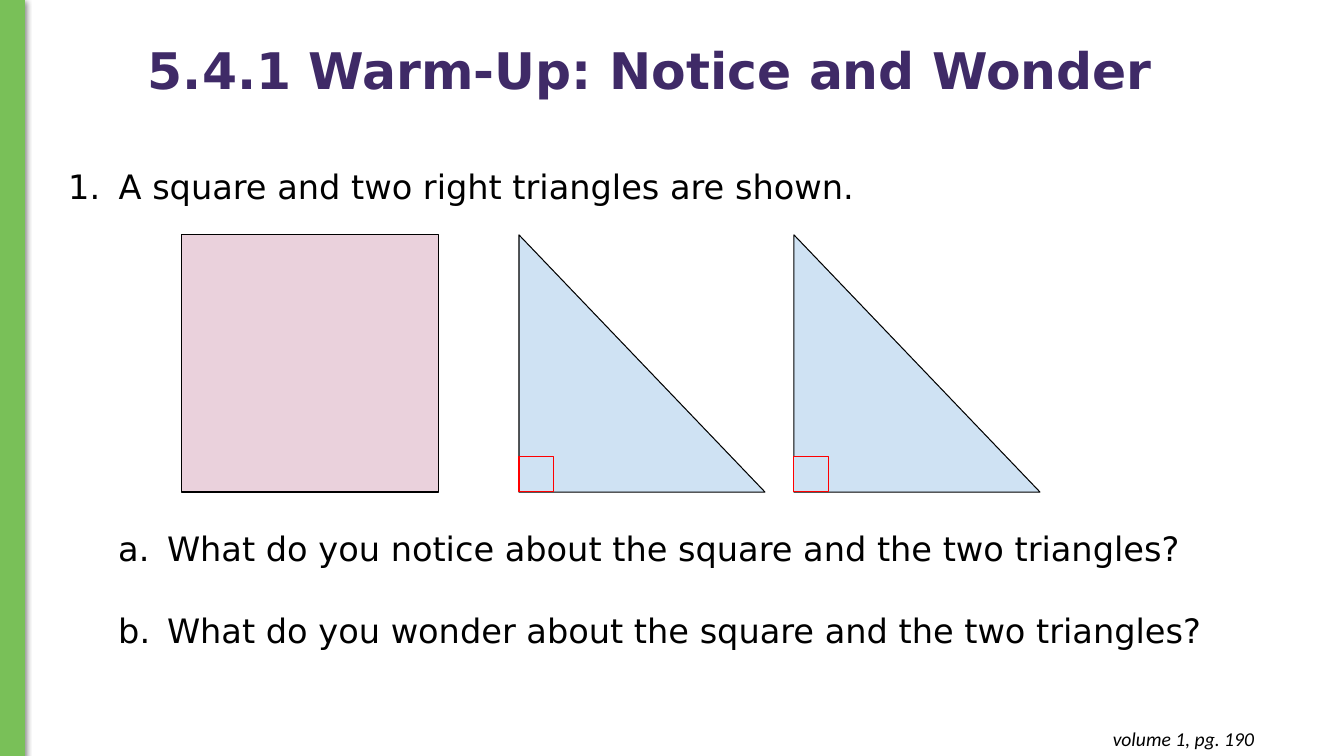
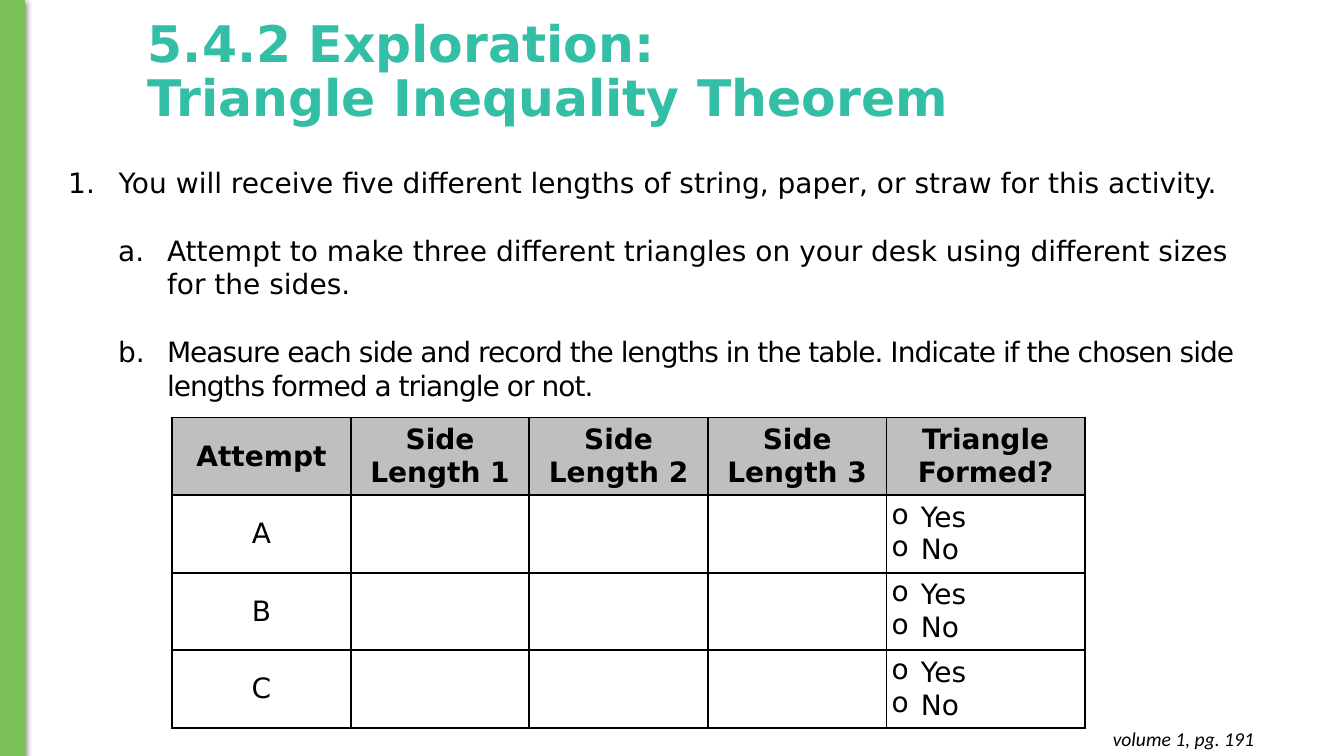
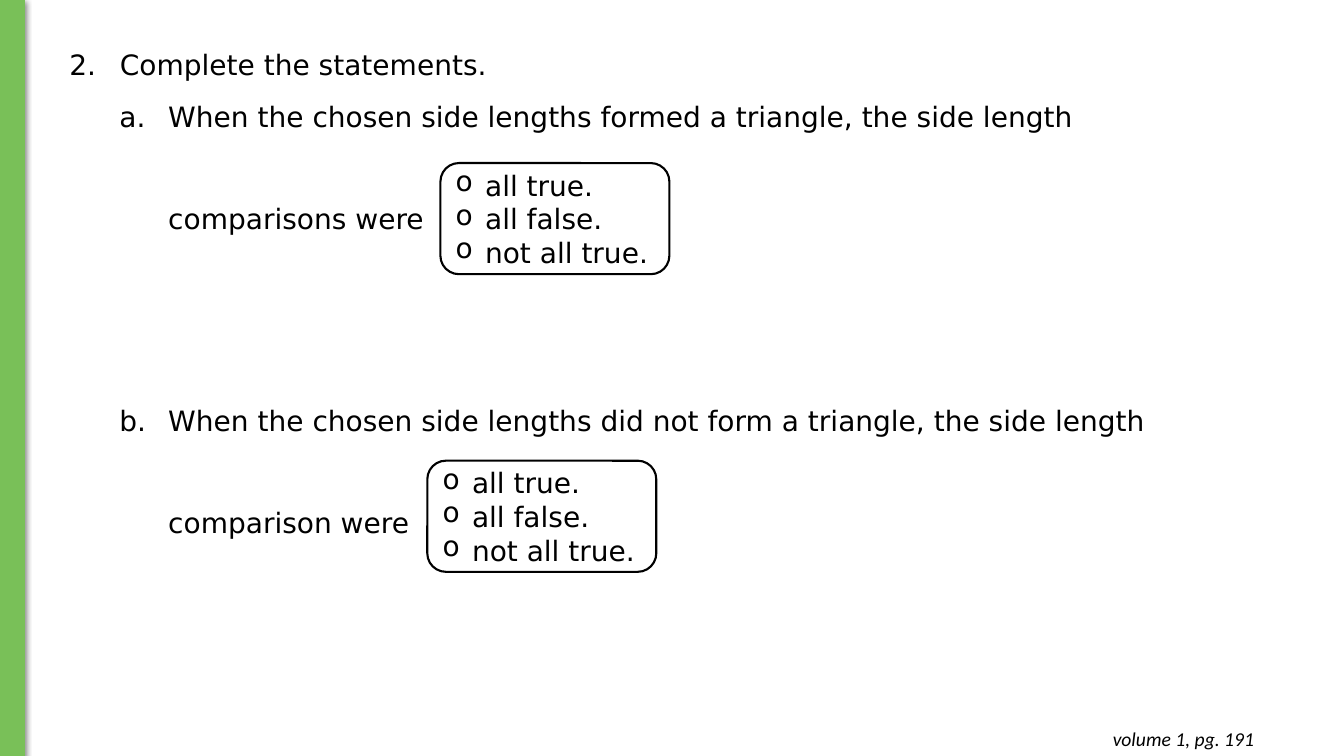
from dataclasses import dataclass

from lxml.etree import SubElement
from pptx import Presentation
from pptx.dml.color import RGBColor as RGB
from pptx.enum.shapes import MSO_SHAPE as SHAPE
from pptx.enum.text import MSO_ANCHOR as ANCHOR, PP_ALIGN as ALIGN
from pptx.oxml.ns import qn
from pptx.util import Cm, Pt


@dataclass(frozen=True)
class Theme:
    font: str = "DejaVu Sans"
    footer_font: str = "Calibri"
    black: RGB = RGB(0, 0, 0)
    white: RGB = RGB(255, 255, 255)
    green: RGB = RGB(0x79, 0xC0, 0x58)
    purple: RGB = RGB(0x3F, 0x2A, 0x67)
    teal: RGB = RGB(0x33, 0xBE, 0xA6)
    pink: RGB = RGB(0xEA, 0xD1, 0xDC)
    blue: RGB = RGB(0xCF, 0xE2, 0xF3)
    red: RGB = RGB(0xFF, 0, 0)
    gray: RGB = RGB(0xBF, 0xBF, 0xBF)
    title: int = 36
    large: int = 24
    body: int = 20
    footer: int = 14


theme = Theme()
NUMBER = dict(number="arabicPeriod", margin=1.27, hang=1.27)
LETTER = dict(number="alphaLcPeriod", level=1, margin=2.49, hang=1.23)
CHOICE = dict(bullet="o", margin=0.74, hang=0.74)


def write(frame, text, size=theme.body, font=theme.font, color=theme.black,
          bold=False, italic=False, align=ALIGN.LEFT, before=0, line=None,
          level=0, margin=0, hang=0, number=None, start=1, bullet=None,
          tracking=None):
    """Add one formatted paragraph; the first call fills the empty one."""
    para = frame.paragraphs[-1]
    if para.runs:
        para = frame.add_paragraph()
    para.text = text
    para.alignment = align
    para.level = level
    para.space_before = Pt(before)
    if line:
        para.line_spacing = line
    layout = para._p.get_or_add_pPr()
    layout.set("marL", str(Cm(margin)))
    layout.set("indent", str(-Cm(hang)))
    if number:
        mark = SubElement(layout, qn("a:buAutoNum"), type=number)
        if start > 1:
            mark.set("startAt", str(start))
    elif bullet:
        SubElement(layout, qn("a:buChar"), char=bullet)
    for span in para.runs:
        span.font.name, span.font.size = font, Pt(size)
        span.font.bold, span.font.italic = bold, italic
        span.font.color.rgb = color
        if tracking:
            span._r.get_or_add_rPr().set("spc", str(tracking))


def add_box(page, left, top, width, height, shape=None, fill=None,
            line=theme.black, weight=0.75, anchor=ANCHOR.TOP):
    """Add a text box, or a preset shape when one is named."""
    place = Cm(left), Cm(top), Cm(width), Cm(height)
    if shape is None:
        box = page.shapes.add_textbox(*place)
    else:
        box = page.shapes.add_shape(shape, *place)
        box.shadow.inherit = False
        box.line.color.rgb, box.line.width = line, Pt(weight)
        if fill is None:
            box.fill.background()
        else:
            box.fill.solid()
            box.fill.fore_color.rgb = fill
    box.text_frame.word_wrap = True
    box.text_frame.vertical_anchor = anchor
    return box


deck = Presentation()
deck.slide_width, deck.slide_height = Cm(33.87), Cm(19.05)

# Shared parts: side bar with shadow, title, footer
pages = []
for title, color, page_number in (
    ("5.4.1 Warm-Up: Notice and Wonder", theme.purple, 190),
    ("5.4.2 Exploration:\vTriangle Inequality Theorem", theme.teal, 191),
    (None, None, 191),
):
    page = deck.slides.add_slide(deck.slide_layouts[6])
    pages.append(page)
    bar = add_box(page, 0, 0, 0.62, 19.05, SHAPE.RECTANGLE, theme.green, theme.green)
    effects = bar._element.spPr.find(qn("a:effectLst"))
    shadow = SubElement(effects, qn("a:outerShdw"), blurRad=str(Pt(4.5)),
                        dist=str(Pt(1.5)), dir="5400000", rotWithShape="0")
    shade = SubElement(shadow, qn("a:srgbClr"), val=str(theme.black))
    SubElement(shade, qn("a:alpha"), val="50000")
    if title:
        heading = add_box(page, 3.48, 0, 29.5, 3.68, anchor=ANCHOR.MIDDLE)
        write(heading.text_frame, title, size=theme.title, color=color, bold=True, line=0.9)
    footer = add_box(page, 24.54, 18.06, 7.32, 1.12).text_frame
    footer.margin_top = footer.margin_bottom = Cm(0.25)
    write(footer, f"volume 1, pg. {page_number}", size=theme.footer,
          font=theme.footer_font, italic=True, align=ALIGN.RIGHT)

warm_up, exploration, statements = pages

# Warm-up: statement, figures, questions
statement = add_box(warm_up, 1.47, 4.06, 29.64, 1.3).text_frame
write(statement, "A square and two right triangles are shown.", size=theme.large, **NUMBER)
add_box(warm_up, 4.57, 5.92, 6.48, 6.48, SHAPE.RECTANGLE, theme.pink)
for left in (13.08, 20.01):
    add_box(warm_up, left, 5.92, 6.2, 6.48, SHAPE.RIGHT_TRIANGLE, theme.blue)
    add_box(warm_up, left, 11.51, 0.87, 0.87, SHAPE.RECTANGLE, theme.blue, theme.red)
questions = add_box(warm_up, 1.47, 13.18, 29.64, 3.5).text_frame
for verb, gap in (("notice", 0), ("wonder", 30)):
    write(questions, f"What do you {verb} about the square and the two triangles?",
          size=theme.large, before=gap, **LETTER)

# Exploration: instructions
steps = add_box(exploration, 1.47, 4.04, 30.18, 6.25).text_frame
write(steps, "You will receive five different lengths of string, paper, or straw "
      "for this activity.", **NUMBER)
write(steps, "Attempt to make three different triangles on your desk using "
      "different sizes for the sides.", before=24.4, **LETTER)
write(steps, "Measure each side and record the lengths in the table. Indicate if the "
      "chosen side lengths formed a triangle or not.", before=24.4, tracking=-70, **LETTER)

# Exploration: table of attempts
headings = ["Attempt", *(f"Side\vLength {n}" for n in (1, 2, 3)), "Triangle Formed?"]
widths = [4.5] * 4 + [5]
rows = [headings] + [[letter, "", "", "", "Yes No"] for letter in "ABC"]
table = exploration.shapes.add_table(len(rows), len(widths), Cm(4.34), Cm(10.52),
                                     Cm(sum(widths)), Cm(1.95 * len(rows))).table
table.horz_banding = False
for column, width in zip(table.columns, widths):
    column.width = Cm(width)
for r, row in enumerate(rows):
    table.rows[r].height = Cm(1.95)
    for c, text in enumerate(row):
        cell = table.cell(r, c)
        cell.vertical_anchor = ANCHOR.MIDDLE
        cell.margin_left = cell.margin_right = Cm(0.13)
        cell.margin_top = cell.margin_bottom = Cm(0.13)
        for side in ("lnL", "lnR", "lnT", "lnB"):
            edge = SubElement(cell._tc.get_or_add_tcPr(), qn(f"a:{side}"), w=str(Pt(1.5)))
            ink = SubElement(edge, qn("a:solidFill"))
            SubElement(ink, qn("a:srgbClr"), val=str(theme.black))
        cell.fill.solid()
        cell.fill.fore_color.rgb = theme.white if r else theme.gray
        if r and c == len(widths) - 1:
            for answer in text.split():
                write(cell.text_frame, answer, **CHOICE)
        elif text:
            write(cell.text_frame, text, bold=r == 0, align=ALIGN.CENTER)

# Statements: sentences with answer boxes
sentences = add_box(statements, 1.5, 1.07, 30.07, 12.65).text_frame
write(sentences, "Complete the statements.", start=2, **NUMBER)
for outcome, ending, gap, left, top in (
    ("formed", "comparisons were", 13, 11.1, 4.11),
    ("did not form", "comparison were", 120, 10.77, 11.61),
):
    write(sentences, f"When the chosen side lengths {outcome} a triangle, the side length",
          before=gap, **LETTER)
    write(sentences, ending, before=49, level=2, margin=LETTER["margin"])
    choices = add_box(statements, left, top, 5.77, 2.8, SHAPE.ROUNDED_RECTANGLE,
                      weight=1.5, anchor=ANCHOR.MIDDLE).text_frame
    for choice in ("all true.", "all false.", "not all true."):
        write(choices, choice, **CHOICE)

deck.save("out.pptx")
